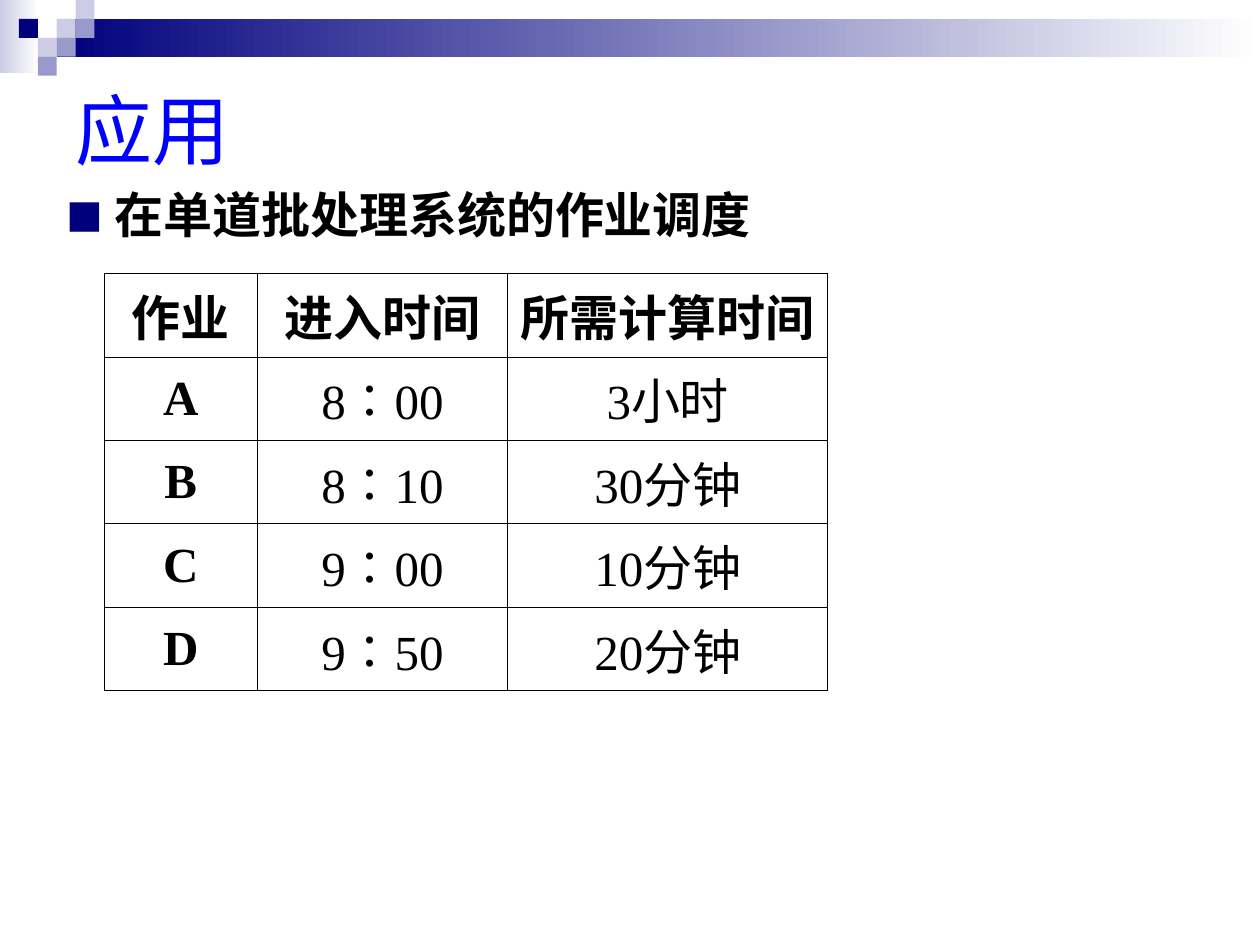
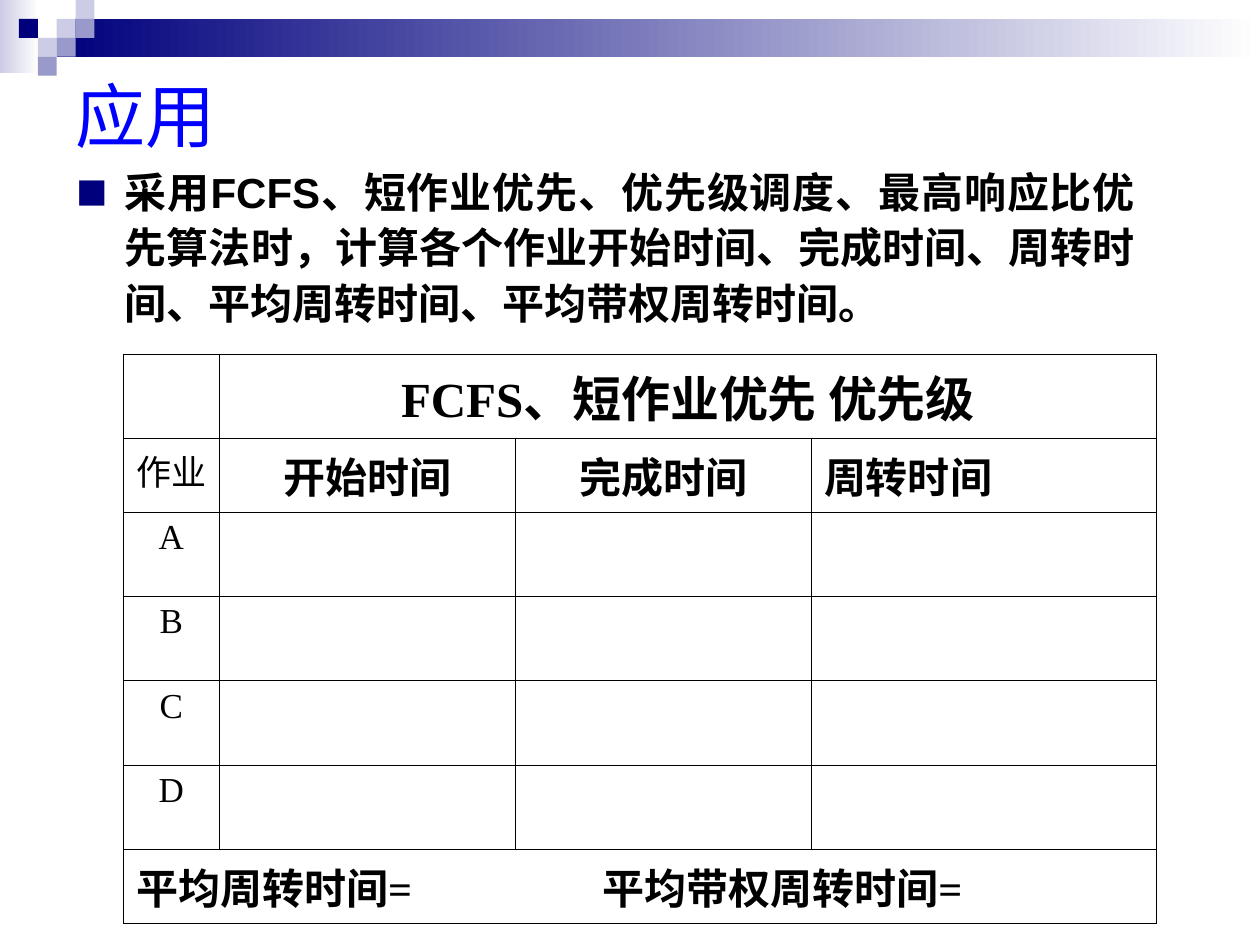
from lxml.etree import SubElement
from pptx import Presentation
from pptx.dml.color import RGBColor
from pptx.enum.shapes import MSO_SHAPE as SHAPE
from pptx.enum.text import MSO_ANCHOR as ANCHOR, MSO_AUTO_SIZE as AUTO, PP_ALIGN as ALIGN
from pptx.oxml import parse_xml
from pptx.oxml.ns import nsdecls, qn
from pptx.util import Inches, Pt

NAVY, LILAC, MID, WHITE = "00007D", "CCCCE6", "9999CC", "FFFFFF"
BLUE, BLACK = "0000FF", "000000"
SANS, SERIF, CJK = "Arial", "Times New Roman", "Noto Sans CJK SC"
UNIT = 0.15
SQUARES = [(3, 1, LILAC), (4, 0, LILAC), (4, 1, MID), (2, 2, LILAC),
           (1, 1, NAVY), (3, 2, MID), (2, 3, MID)]


def rgb(value):
    return RGBColor.from_string(value)


def box(*lengths):
    return [Inches(n) for n in lengths]


class Deck:
    """Holds the lecture style and the slide being filled."""

    def __init__(self):
        self.prs = Presentation()
        self.prs.slide_width, self.prs.slide_height = box(10, 7.5)
        self.layout = self.prs.slide_layouts[1]
        self.slide = None

    def new_slide(self):
        self.slide = self.prs.slides.add_slide(self.layout)

    def format(self, target, **values):
        for name, value in values.items():
            setattr(target, name, value)

    def run(self, p, text, size, font, color=BLACK, bold=False):
        r = p.add_run()
        r.text = text
        self.format(r.font, size=Pt(size), name=font, bold=bold)
        r.font.color.rgb = rgb(color)
        SubElement(r.font._element, qn("a:ea"), typeface=CJK)

    def rect(self, shapes, at, *colors):
        sp = shapes.add_shape(SHAPE.RECTANGLE, *box(*at))
        sp.shadow.inherit = False
        sp.line.fill.background()
        if len(colors) == 1:
            sp.fill.solid()
            sp.fill.fore_color.rgb = rgb(colors[0])
        else:
            sp.fill.gradient()
            sp.fill.gradient_angle = 0
            for stop, color in zip(sp.fill.gradient_stops, colors):
                stop.color.rgb = rgb(color)

    def header_band(self):
        group = self.slide.shapes.add_group_shape()
        self.rect(group.shapes, (0, 0, 0.31, 0.58), LILAC, WHITE)
        self.rect(group.shapes, (0.45, UNIT, 9.55, 2 * UNIT), NAVY, WHITE)
        for col, row, color in SQUARES:
            self.rect(group.shapes, (col * UNIT, row * UNIT, UNIT, UNIT), color)
        for ph in list(self.layout.placeholders)[2:]:
            ph._element.getparent().remove(ph._element)
        self.layout.shapes._spTree.insert(2, group._element)

    def placeholder(self, ph, at, anchor):
        self.format(ph, **dict(zip(("left", "top", "width", "height"), box(*at))))
        self.format(ph.text_frame, vertical_anchor=anchor, word_wrap=True, auto_size=AUTO.NONE)
        return ph.text_frame.paragraphs[0]

    def title(self, text, height, size):
        p = self.placeholder(self.slide.shapes.title, (0.5, 0.5, 9, height), ANCHOR.MIDDLE)
        p.alignment = ALIGN.LEFT
        self.run(p, text, size, SANS, BLUE)

    def bullet(self, text, at, size, **spacing):
        p = self.placeholder(self.slide.placeholders[1], at, ANCHOR.TOP)
        self.format(p, **spacing)
        pPr = p._p.get_or_add_pPr()
        pPr.set("marL", str(Inches(0.38)))
        pPr.set("indent", str(-Inches(0.38)))
        color = SubElement(pPr, qn("a:buClr"))
        SubElement(color, qn("a:srgbClr"), val=NAVY)
        SubElement(pPr, qn("a:buSzPct"), val="75000")
        SubElement(pPr, qn("a:buFont"), typeface=CJK)
        SubElement(pPr, qn("a:buChar"), char="■")
        self.run(p, text, size, SANS, bold=True)

    def table(self, at, cols, rows):
        frame = self.slide.shapes.add_table(
            len(rows), len(cols), *box(*at, sum(cols), sum(rows)))
        table = frame.table
        self.format(table, first_row=False, horz_banding=False)
        for col, width in zip(table.columns, cols):
            col.width = Inches(width)
        for row, height in zip(table.rows, rows):
            row.height = Inches(height)
        for cell in table.iter_cells():
            tcPr = cell._tc.get_or_add_tcPr()
            for side in "LRTB":
                tcPr.append(parse_xml(
                    f'<a:ln{side} {nsdecls("a")} w="{Pt(0.45)}"><a:solidFill>'
                    f'<a:srgbClr val="{BLACK}"/></a:solidFill></a:ln{side}>'))
            cell.fill.background()
        return table

    def cell(self, cell, text, size, bold=False, anchor=ANCHOR.TOP, **para):
        cell.vertical_anchor = anchor
        p = cell.text_frame.paragraphs[0]
        self.format(p, **{"alignment": ALIGN.CENTER, **para})
        for part in text.partition("∶"):
            if part:
                self.run(p, part, size, CJK if part == "∶" else SERIF, bold=bold)
        return p

    def tab_stop(self, p, pos):
        tabs = SubElement(p._p.get_or_add_pPr(), qn("a:tabLst"))
        SubElement(tabs, qn("a:tab"), pos=str(Inches(pos)), algn="l")


def job_slide(deck):
    deck.title("应用", 1.05, 44)
    deck.bullet("在单道批处理系统的作业调度", (0.43, 1.47, 8.91, 0.56), 28,
                line_spacing=0.9, space_before=Pt(7))
    jobs = [("作业", "进入时间", "所需计算时间"),
            ("A", "8∶00", "3小时"),
            ("B", "8∶10", "30分钟"),
            ("C", "9∶00", "10分钟"),
            ("D", "9∶50", "20分钟")]
    table = deck.table((0.83, 2.17), (1.21, 1.99, 2.54), [0.6] * len(jobs))
    for i, job in enumerate(jobs):
        for j, text in enumerate(job):
            heading = i == 0 or j == 0
            deck.cell(table.cell(i, j), text, 28, heading, ANCHOR.MIDDLE,
                      space_before=Pt(0 if heading else 7))


def schedule_slide(deck):
    deck.title("应用", 0.81, 40)
    deck.bullet("采用FCFS、短作业优先、优先级调度、最高响应比优先算法时，计算各个作业开始时间、"
                "完成时间、周转时间、平均周转时间、平均带权周转时间。",
                (0.51, 1.23, 8.6, 1.51), 24,
                alignment=ALIGN.JUSTIFY, line_spacing=1.1, space_before=Pt(9))
    table = deck.table((0.98, 2.81), (0.76, 2.35, 2.35, 2.74),
                       [0.67, 0.58] + [0.67] * 4 + [0.52])
    table.cell(0, 1).merge(table.cell(0, 3))
    table.cell(6, 0).merge(table.cell(6, 3))
    deck.cell(table.cell(0, 1), "FCFS、短作业优先 优先级", 28, True)
    for i, text in enumerate(("作业", "A", "B", "C", "D"), 1):
        deck.cell(table.cell(i, 0), text, 20)
    for j, text in enumerate(("开始时间", "完成时间", "周转时间"), 1):
        deck.cell(table.cell(1, j), text, 24, True,
                  alignment=ALIGN.LEFT if j == 3 else ALIGN.CENTER)
    p = deck.cell(table.cell(6, 0), "平均周转时间=\t平均带权周转时间=", 24, True,
                  alignment=ALIGN.LEFT)
    deck.tab_stop(p, 3.7)


def main():
    deck = Deck()
    deck.new_slide()
    deck.header_band()
    job_slide(deck)
    deck.new_slide()
    schedule_slide(deck)
    deck.prs.save("out.pptx")


if __name__ == "__main__":
    main()
